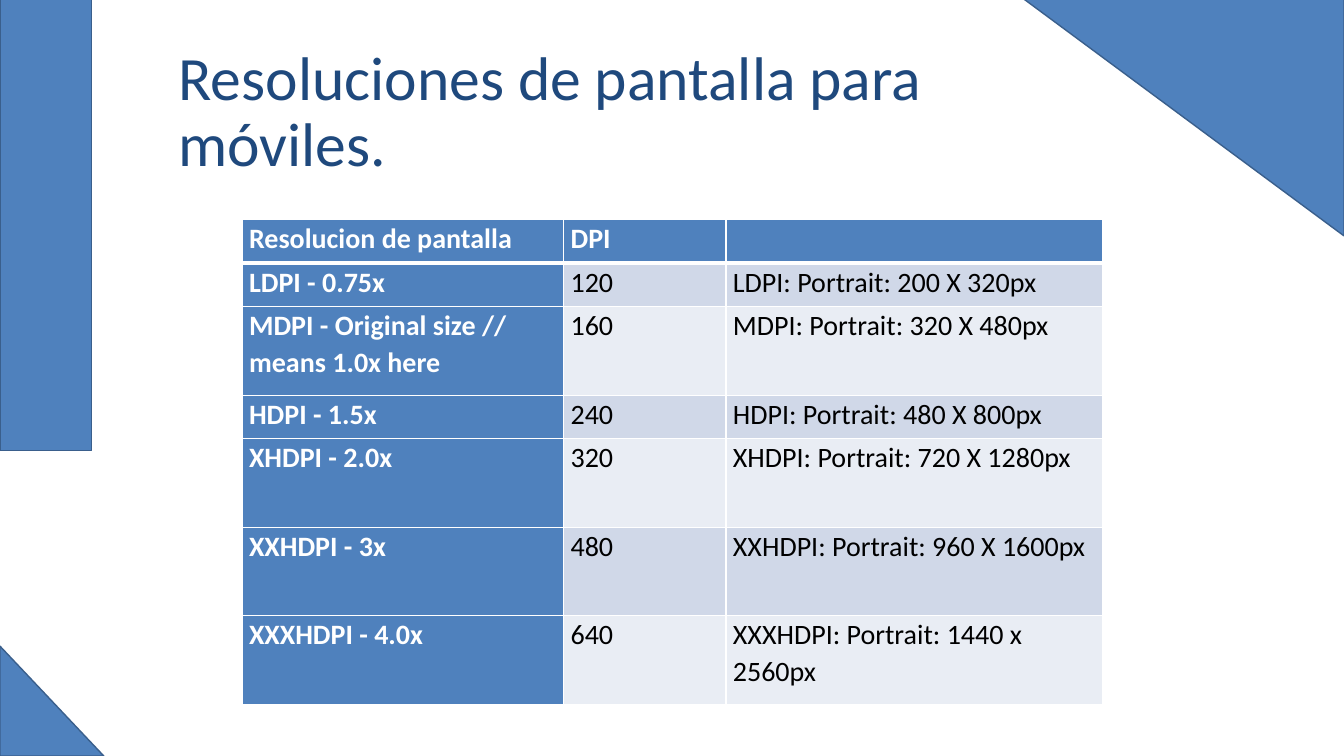
from dataclasses import dataclass

from lxml.etree import SubElement
from pptx import Presentation
from pptx.dml.color import RGBColor
from pptx.enum.shapes import MSO_SHAPE as Preset
from pptx.enum.text import MSO_ANCHOR as Anchor, PP_ALIGN as Align
from pptx.oxml.ns import qn
from pptx.util import Inches, Pt


@dataclass(frozen=True)
class Theme:
    font: str = "Calibri"
    accent: str = "4F81BD"
    outline: str = "3A5F8C"
    title: str = "1F497D"
    white: str = "FFFFFF"
    black: str = "000000"
    bands: tuple = ("D0D8E8", "E9EDF4")
    title_size: int = 44
    table_size: int = 20


THEME = Theme()

DECORATIONS = [
    (Preset.RECTANGLE, (0, -0.01, 0.91, 4.48), 0),
    (Preset.RIGHT_TRIANGLE, (10.1, -0.05, 3.23, 2.39), 180),
    (Preset.RIGHT_TRIANGLE, (0, 6.41, 1.03, 1.09), 0),
]

ROWS = [
    ("Resolucion de pantalla", "DPI", ""),
    ("LDPI - 0.75x", "120", "LDPI: Portrait: 200 X 320px"),
    ("MDPI - Original size // means 1.0x here", "160", "MDPI: Portrait: 320 X 480px"),
    ("HDPI - 1.5x", "240", "HDPI: Portrait: 480 X 800px"),
    ("XHDPI - 2.0x", "320", "XHDPI: Portrait: 720 X 1280px"),
    ("XXHDPI - 3x", "480", "XXHDPI: Portrait: 960 X 1600px"),
    ("XXXHDPI - 4.0x", "640", "XXXHDPI: Portrait: 1440 x 2560px"),
]
COLUMN_WIDTHS = (3.19, 1.61, 3.74)
SHORT_ROW, TALL_ROW = 0.43, 0.88
ROW_HEIGHTS = (SHORT_ROW, SHORT_ROW, TALL_ROW, SHORT_ROW, TALL_ROW, TALL_ROW, TALL_ROW)


def rgb(color):
    return RGBColor.from_string(color)


def write_text(frame, text, *, size, color, bold=False, spacing=1.0):
    frame.word_wrap = True
    paragraph = frame.paragraphs[0]
    paragraph.alignment = Align.LEFT
    paragraph.line_spacing = spacing
    if not text:
        return
    run = paragraph.add_run()
    run.text = text
    run.font.name = THEME.font
    run.font.size = Pt(size)
    run.font.bold = bold
    run.font.color.rgb = rgb(color)


def add_decoration(slide, preset, box, rotation):
    shape = slide.shapes.add_shape(preset, *map(Inches, box))
    shape.rotation = rotation
    shape.shadow.inherit = False
    shape.fill.solid()
    shape.fill.fore_color.rgb = rgb(THEME.accent)
    shape.line.color.rgb = rgb(THEME.outline)
    shape.line.width = Pt(1)


def set_title(slide, text, box):
    title = slide.shapes.title
    title.left, title.top, title.width, title.height = map(Inches, box)
    title.text_frame.vertical_anchor = Anchor.MIDDLE
    write_text(title.text_frame, text, size=THEME.title_size, color=THEME.title, spacing=0.9)


def set_borders(cell, **widths):
    properties = cell._tc.get_or_add_tcPr()
    for side in ("L", "R", "T", "B"):
        line = SubElement(properties, qn(f"a:ln{side}"), w=str(Pt(widths.get(side, 1))))
        fill = SubElement(line, qn("a:solidFill"))
        SubElement(fill, qn("a:srgbClr"), val=THEME.white)


def format_cell(cell, text, row, column):
    heading = row == 0 or column == 0
    cell.margin_left = cell.margin_right = Inches(0.07)
    cell.margin_top = cell.margin_bottom = 0
    set_borders(cell, T=3 if row == 1 else 1, B=3 if row == 0 else 1)
    cell.fill.solid()
    cell.fill.fore_color.rgb = rgb(THEME.accent if heading else THEME.bands[(row - 1) % 2])
    write_text(cell.text_frame, text, size=THEME.table_size, bold=heading,
               color=THEME.white if heading else THEME.black, spacing=1.07)


def add_resolution_table(slide, left, top):
    size = (sum(COLUMN_WIDTHS), sum(ROW_HEIGHTS))
    frame = slide.shapes.add_table(len(ROWS), len(COLUMN_WIDTHS), *map(Inches, (left, top, *size)))
    table = frame.table
    table.first_col = True
    for column, width in zip(table.columns, COLUMN_WIDTHS):
        column.width = Inches(width)
    for row, height in zip(table.rows, ROW_HEIGHTS):
        row.height = Inches(height)
    for row, texts in enumerate(ROWS):
        for column, text in enumerate(texts):
            format_cell(table.cell(row, column), text, row, column)


def main():
    presentation = Presentation()
    presentation.slide_width = Inches(13.33)
    presentation.slide_height = Inches(7.5)
    slide = presentation.slides.add_slide(presentation.slide_layouts[5])
    for preset, box, rotation in DECORATIONS:
        add_decoration(slide, preset, box, rotation)
    set_title(slide, "Resoluciones de pantalla para móviles.", (1.67, 0.4, 8.99, 1.45))
    add_resolution_table(slide, 2.4, 2.18)
    presentation.save("out.pptx")


main()
